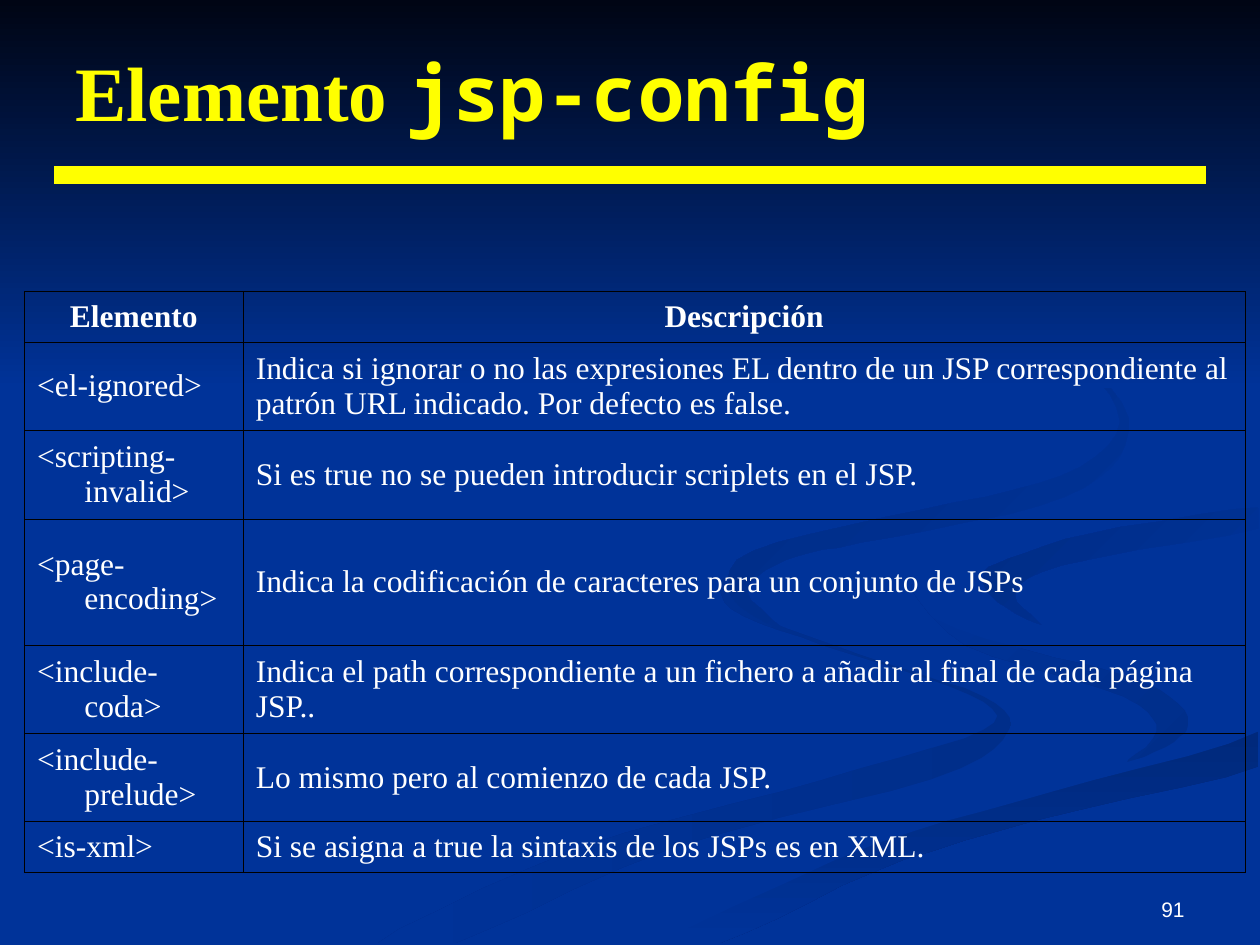
from pptx import Presentation
from pptx.dml.color import RGBColor
from pptx.enum.shapes import MSO_CONNECTOR as Connector
from pptx.enum.text import MSO_ANCHOR as Anchor, PP_ALIGN as Align
from pptx.oxml import parse_xml
from pptx.oxml.ns import nsdecls
from pptx.util import Pt

COLORS = {
    "blue": "003399", "night": "000514", "yellow": "FFFF00", "white": "FFFFFF",
    "black": "000000", "shade": "002E8A", "deep": "00297C", "dusk": "002C85",
    "dim": "002B81",
}
SERIF, MONO, SANS = "Times New Roman", "Noto Sans Mono", "Arial"
WIDTH, HEIGHT = 720, 540

# Each background swirl: colours (one, or start and end), clockwise angle, guide points
SWIRLS = [
    (("shade", "blue"), 180, [
        (562, 398), (491, 374), (428, 349), (414, 330), (418, 348), (471, 369), (554, 397),
        (562, 417), (469, 446), (330, 485), (216, 539), (260, 539), (383, 485), (533, 445),
        (576, 418)]),
    (("shade", "blue"), 225, [
        (679, 410), (652, 389), (570, 366), (521, 334), (552, 369), (642, 398), (661, 418),
        (644, 436), (671, 424)]),
    (("deep", "blue"), 90, [
        (362, 539), (411, 539), (500, 498), (591, 469), (719, 438), (719, 418), (650, 439),
        (550, 466), (454, 499)]),
    (("blue",), 0, [
        (522, 334), (546, 359), (652, 389), (679, 410), (656, 432), (535, 463), (343, 539),
        (374, 538), (501, 482), (599, 453), (719, 418), (719, 387), (624, 366), (562, 333),
        (601, 310), (719, 290), (719, 279), (598, 299), (534, 316)]),
    (("blue", "dusk"), 225, [
        (562, 331), (570, 344), (595, 357), (580, 340), (607, 323), (719, 302), (719, 290),
        (623, 305), (570, 322)]),
    (("blue", "dim"), 225, [
        (492, 310), (594, 289), (640, 261), (634, 221), (549, 168), (609, 201), (640, 241),
        (606, 272), (528, 291), (430, 315), (418, 341), (448, 360), (427, 338), (449, 320)]),
]
TOP_BAND = [(0, 0), (0, 222), (WIDTH, 222), (WIDTH, 0)]

ROWS = [
    ("Elemento", "Descripción"),
    ("<el-ignored>", "Indica si ignorar o no las expresiones EL dentro de un JSP "
     "correspondiente al patrón URL indicado. Por defecto es false."),
    ("<scripting-invalid>", "Si es true no se pueden introducir scriplets en el JSP."),
    ("<page-encoding>", "Indica la codificación de caracteres para un conjunto de JSPs"),
    ("<include-coda>", "Indica el path correspondiente a un fichero a añadir al final de "
     "cada página JSP.."),
    ("<include-prelude>", "Lo mismo pero al comienzo de cada JSP."),
    ("<is-xml>", "Si se asigna a true la sintaxis de los JSPs es en XML."),
]
ROW_HEIGHTS = [29, 50.5, 50.5, 72, 50.5, 50.5, 29]
COLUMN_WIDTHS = [125, 572.5]


def rgb(name):
    return RGBColor.from_string(COLORS[name])


def smooth(points, steps=5):
    """Run a closed Catmull-Rom curve through the points, kept within the page."""
    curve = []
    for i, here in enumerate(points):
        before, after = points[i - 1], points[(i + 1) % len(points)]
        beyond = points[(i + 2) % len(points)]
        for step in range(steps):
            t = step / steps
            x, y = (
                b + t * (c - a) / 2 + t**2 * (2 * a - 5 * b + 4 * c - d) / 2
                + t**3 * (3 * b - a - 3 * c + d) / 2
                for a, b, c, d in zip(before, here, after, beyond))
            curve.append((min(x, WIDTH - 1), min(y, HEIGHT - 1)))
    return curve


class SlideBuilder:
    """Holds the style and the current page."""

    def __init__(self, page):
        self.page = page
        self.shapes = page.shapes

    def background(self, color):
        fill = self.page.background.fill
        fill.solid()
        fill.fore_color.rgb = rgb(color)

    def outline(self, points, colors, angle):
        builder = self.shapes.build_freeform(*points[0], scale=Pt(1))
        builder.add_line_segments(points[1:], close=True)
        shape = builder.convert_to_shape()
        shape.shadow.inherit = False
        shape.line.fill.background()
        if len(colors) == 1:
            shape.fill.solid()
            shape.fill.fore_color.rgb = rgb(colors[0])
            return
        shape.fill.gradient()
        shape.fill.gradient_angle = 360 - angle
        for stop, color, position in zip(shape.fill.gradient_stops, colors, (0, 1)):
            stop.color.rgb = rgb(color)
            stop.position = position

    def rule(self, left, right, y, color, width):
        line = self.shapes.add_connector(
            Connector.STRAIGHT, Pt(left), Pt(y), Pt(right), Pt(y))
        line.line.color.rgb = rgb(color)
        line.line.width = Pt(width)
        line._element.spPr.append(parse_xml(f"<a:effectLst {nsdecls('a')}/>"))

    def style(self, font, name, size, color, bold=False):
        font.name, font.size, font.bold = name, Pt(size), bold
        font.color.rgb = rgb(color)

    def text(self, place, parts, size, color, bold=False, align=Align.LEFT,
             anchor=Anchor.MIDDLE):
        """Add one line made of (text, font name) parts."""
        box = self.shapes.add_textbox(*map(Pt, place))
        frame = box.text_frame
        frame.word_wrap = True
        frame.vertical_anchor = anchor
        para = frame.paragraphs[0]
        para.alignment = align
        for words, name in parts:
            span = para.add_run()
            span.text = words
            self.style(span.font, name, size, color, bold)

    def table(self, left, top, rows, widths, heights):
        frame = self.shapes.add_table(len(rows), len(widths), Pt(left), Pt(top),
                                      Pt(sum(widths)), Pt(sum(heights)))
        table = frame.table
        table.first_row = table.horz_banding = False
        for column, width in zip(table.columns, widths):
            column.width = Pt(width)
        for r, (row, height) in enumerate(zip(rows, heights)):
            table.rows[r].height = Pt(height)
            for c, words in enumerate(row):
                self.cell(table.cell(r, c), words, header=r == 0, hanging=r == 0 or c == 0)

    def cell(self, cell, words, header, hanging):
        cell.vertical_anchor = Anchor.MIDDLE
        properties = cell._tc.get_or_add_tcPr()
        for side in "LRTB":
            properties.append(parse_xml(
                f'<a:ln{side} {nsdecls("a")} w="{Pt(0.34)}"><a:solidFill>'
                f'<a:srgbClr val="{COLORS["black"]}"/></a:solidFill></a:ln{side}>'))
        cell.fill.background()
        para = cell.text_frame.paragraphs[0]
        para.text = words
        para.alignment = Align.CENTER if header else Align.LEFT
        if hanging:
            indent = para._p.get_or_add_pPr()
            indent.set("marL", str(Pt(27)))
            indent.set("indent", str(-Pt(27)))
        self.style(para.runs[0].font, SERIF, 18, "white", header)


def main():
    deck = Presentation()
    deck.slide_width, deck.slide_height = Pt(WIDTH), Pt(HEIGHT)
    slide = SlideBuilder(deck.slides.add_slide(deck.slide_layouts[6]))
    slide.background("blue")
    for colors, angle, points in SWIRLS:
        slide.outline(smooth(points), colors, angle)
    slide.outline(TOP_BAND, ("night", "blue"), 90)
    slide.rule(31, 689, 100, "yellow", 10)
    slide.text((36, 21.5, 648, 61), [("Elemento ", SERIF), ("jsp-config", MONO)],
               44, "yellow", bold=True)
    slide.table(14, 166.5, ROWS, COLUMN_WIDTHS, ROW_HEIGHTS)
    slide.text((516, 514, 168, 16), [("91", SANS)], 12, "white",
               align=Align.RIGHT, anchor=Anchor.BOTTOM)
    deck.save("out.pptx")


if __name__ == "__main__":
    main()
